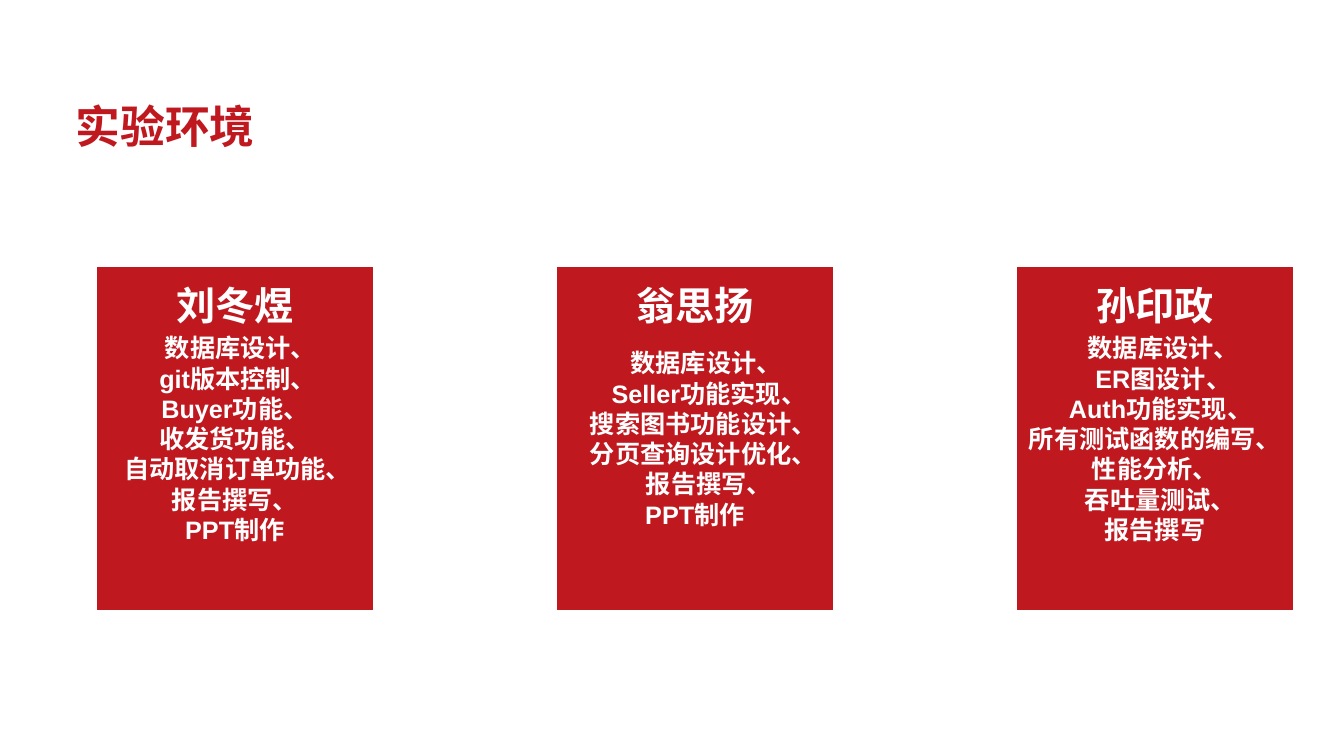
import pptx
import pptx.util
import pptx.dml.color
import pptx.enum.shapes
import pptx.enum.text

Pt = pptx.util.Pt
RED = pptx.dml.color.RGBColor(0xBF, 0x18, 0x1F)
WHITE = pptx.dml.color.RGBColor(0xFF, 0xFF, 0xFF)
CENTER = pptx.enum.text.PP_ALIGN.CENTER

CARD_LEFT, CARD_TOP, CARD_WIDTH, CARD_HEIGHT = 68.5, 190.1, 198.6, 246.2
CARD_PITCH = 328.6

MEMBERS = [
    ("刘冬煜", [("数据库设计、", 8), ("git版本控制、", 4), ("Buyer功能、", 0),
             ("收发货功能、", 0), ("自动取消订单功能、", 4), ("报告撰写、", 0),
             ("PPT制作", 0)]),
    ("翁思扬", [("数据库设计、", 16), ("Seller功能实现、", 20), ("搜索图书功能设计、", 12),
             ("分页查询设计优化、", 12), ("报告撰写、", 20), ("PPT制作", 0)]),
    ("孙印政", [("数据库设计、", 12), ("ER图设计、", 12), ("Auth功能实现、", 8),
             ("所有测试函数的编写、", 0), ("性能分析、", 0), ("吞吐量测试、", 8),
             ("报告撰写", 0)]),
]


def style_paragraph(para, text, size, color):
    para.text = text
    para.font.name = "Arial"
    para.font.size = Pt(size)
    para.font.bold = True
    para.font.color.rgb = color


def add_title(page, left, top, width, height):
    box = page.shapes.add_textbox(Pt(left), Pt(top), Pt(width), Pt(height))
    box.text_frame.word_wrap = False
    style_paragraph(box.text_frame.paragraphs[0], "实验环境", 32, RED)


def add_member_card(page, left, top, width, height, name, tasks):
    card = page.shapes.add_shape(pptx.enum.shapes.MSO_SHAPE.RECTANGLE,
                                 Pt(left), Pt(top), Pt(width), Pt(height))
    card.shadow.inherit = False
    card.fill.solid()
    card.fill.fore_color.rgb = RED
    card.line.color.rgb = WHITE
    card.line.width = Pt(1)
    frame = card.text_frame
    frame.word_wrap = True
    frame.vertical_anchor = pptx.enum.text.MSO_ANCHOR.MIDDLE
    for index, (task, indent) in enumerate(tasks):
        para = frame.add_paragraph() if index else frame.paragraphs[0]
        para.alignment = CENTER
        para._p.get_or_add_pPr().set("marL", str(Pt(indent)))
        style_paragraph(para, task, 18, WHITE)

    heading = page.shapes.add_textbox(Pt(left), Pt(top + 0.7), Pt(width), Pt(44.6))
    heading.text_frame.word_wrap = True
    para = heading.text_frame.paragraphs[0]
    para.alignment = CENTER
    para.line_spacing = 1.2
    style_paragraph(para, name, 28, WHITE)


def main():
    deck = pptx.Presentation()
    deck.slide_width, deck.slide_height = Pt(960), Pt(540)
    page = deck.slides.add_slide(deck.slide_layouts[6])
    add_title(page, 46.8, 67, 144, 46)
    for column, (name, tasks) in enumerate(MEMBERS):
        add_member_card(page, CARD_LEFT + column * CARD_PITCH, CARD_TOP,
                        CARD_WIDTH, CARD_HEIGHT, name, tasks)
    deck.save("out.pptx")


if __name__ == "__main__":
    main()
